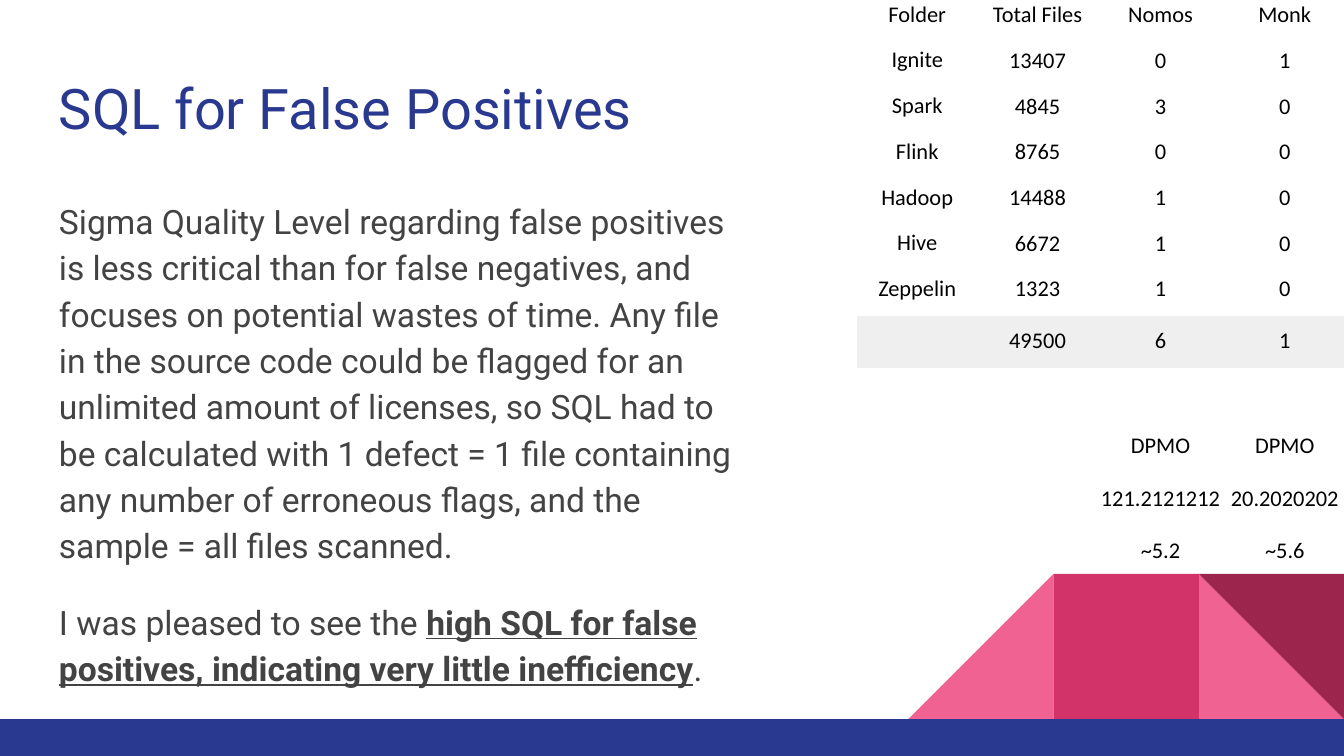
from dataclasses import dataclass

from lxml.etree import SubElement
from pptx import Presentation
from pptx.dml.color import RGBColor
from pptx.enum.shapes import MSO_SHAPE as Preset
from pptx.enum.text import MSO_ANCHOR as Anchor, PP_ALIGN as Align
from pptx.oxml.ns import qn
from pptx.slide import Slide
from pptx.table import _Cell as Cell
from pptx.text.text import Font, TextFrame
from pptx.util import Inches, Pt

BLUE = "2A3990"
PINK = "F06292"
GREY = "434343"
NO_STYLE = "{2D5ABB26-0587-4C30-8999-92F81FD0307C}"
TILE = 1.08
TILE_TOP = 4.27

BODY = (
    "Sigma Quality Level regarding false positives is less critical than for "
    "false negatives, and focuses on potential wastes of time. Any file in the "
    "source code could be flagged for an unlimited amount of licenses, so SQL "
    "had to be calculated with 1 defect = 1 file containing any number of "
    "erroneous flags, and the sample = all files scanned."
)
CONCLUSION = [
    ("I was pleased to see the ", False),
    ("high SQL for false positives, indicating very little inefficiency", True),
    (".", False),
]

COLUMN_WIDTHS = [0.89, 0.9, 0.93, 0.92]
ROW_HEIGHT = 0.23


@dataclass
class Block:
    preset: Preset
    left: float
    top: float
    width: float
    height: float
    color: str
    rotation: int = 0
    flipped: bool = False


@dataclass
class Row:
    texts: tuple[str, str, str, str]
    fill: str | None = None


BLOCKS = [
    Block(Preset.RIGHT_TRIANGLE, 10 - TILE, TILE_TOP, TILE, TILE, PINK),
    Block(Preset.RIGHT_TRIANGLE, 10 - 3 * TILE, TILE_TOP, TILE, TILE, PINK, flipped=True),
    Block(Preset.RECTANGLE, 10 - 2 * TILE, TILE_TOP, TILE, TILE, "D23369"),
    Block(Preset.RIGHT_TRIANGLE, 10 - TILE, TILE_TOP, TILE, TILE, "9C254D", rotation=180),
    Block(Preset.RECTANGLE, 0, TILE_TOP + TILE, 10, 0.28, BLUE),
]

ROWS = [
    Row(("Folder", "Total Files", "Nomos", "Monk")),
    Row(("Ignite", "13407", "0", "1")),
    Row(("Spark", "4845", "3", "0")),
    Row(("Flink", "8765", "0", "0")),
    Row(("Hadoop", "14488", "1", "0")),
    Row(("Hive", "6672", "1", "0")),
    Row(("Zeppelin", "1323", "1", "0")),
    Row(("", "49500", "6", "1"), "EFEFEF"),
    Row(("", "", "", "")),
    Row(("", "", "DPMO", "DPMO")),
    Row(("", "", "121.2121212", "20.2020202")),
    Row(("", "", "~5.2", "~5.6")),
]


def rgb(color: str) -> RGBColor:
    return RGBColor.from_string(color)


def set_font(font: Font, name: str, size: float, color: str) -> None:
    font.name = name
    font.size = Pt(size)
    font.color.rgb = rgb(color)


def draw_block(slide: Slide, block: Block) -> None:
    shape = slide.shapes.add_shape(
        block.preset, Inches(block.left), Inches(block.top),
        Inches(block.width), Inches(block.height),
    )
    shape.shadow.inherit = False
    shape.fill.solid()
    shape.fill.fore_color.rgb = rgb(block.color)
    shape.line.fill.background()
    shape.rotation = block.rotation
    if block.flipped:
        shape._element.spPr.xfrm.set("flipH", "1")


def add_text_frame(slide: Slide, top: float, width: float, height: float) -> TextFrame:
    box = slide.shapes.add_textbox(Inches(0.34), Inches(top), Inches(width), Inches(height))
    frame = box.text_frame
    frame.word_wrap = True
    frame.margin_left = frame.margin_right = Inches(0.1)
    frame.margin_top = frame.margin_bottom = Inches(0.1)
    return frame


def draw_title(slide: Slide) -> None:
    paragraph = add_text_frame(slide, 0.45, 9.32, 0.66).paragraphs[0]
    paragraph.text = "SQL for False Positives"
    set_font(paragraph.font, "Roboto", 30, BLUE)


def draw_body(slide: Slide) -> None:
    frame = add_text_frame(slide, 1.35, 5.22, 3.65)
    frame.text = BODY
    conclusion = frame.add_paragraph()
    conclusion.space_before = conclusion.space_after = Pt(16)
    for text, stressed in CONCLUSION:
        run = conclusion.add_run()
        run.text = text
        run.font.bold = run.font.underline = stressed
    for paragraph in frame.paragraphs:
        paragraph.line_spacing = 1.15
        set_font(paragraph.font, "Roboto", 18, GREY)


def fill_cell(cell: Cell, text: str, fill: str | None) -> None:
    cell.vertical_anchor = Anchor.BOTTOM
    cell.margin_left = cell.margin_right = Inches(0.01)
    cell.margin_top = Inches(0.01 if text else 0.04)
    cell.margin_bottom = Inches(0.1 if text else 0.05)
    if fill:
        cell.fill.solid()
        cell.fill.fore_color.rgb = rgb(fill)
    else:
        cell.fill.background()
    if text:
        paragraph = cell.text_frame.paragraphs[0]
        paragraph.text = text
        paragraph.alignment = Align.CENTER
        paragraph.line_spacing = 1.15 if text[0].isdigit() else 1.0
        set_font(paragraph.font, "Calibri", 12, "000000")


def draw_table(slide: Slide) -> None:
    table = slide.shapes.add_table(
        len(ROWS), len(COLUMN_WIDTHS), Inches(6.38), Inches(0),
        Inches(sum(COLUMN_WIDTHS)), Inches(ROW_HEIGHT * len(ROWS)),
    ).table
    table.first_row = table.horz_banding = False
    properties = table._tbl.tblPr
    for style in properties.findall(qn("a:tableStyleId")):
        properties.remove(style)
    SubElement(properties, qn("a:tableStyleId")).text = NO_STYLE
    for column, width in zip(table.columns, COLUMN_WIDTHS):
        column.width = Inches(width)
    for table_row, row in zip(table.rows, ROWS):
        table_row.height = Inches(ROW_HEIGHT)
        for cell, text in zip(table_row.cells, row.texts):
            fill_cell(cell, text, row.fill)


def main() -> None:
    presentation = Presentation()
    presentation.slide_width = Inches(10)
    presentation.slide_height = Inches(10) * 9 // 16
    slide = presentation.slides.add_slide(presentation.slide_layouts[6])
    for block in BLOCKS:
        draw_block(slide, block)
    draw_title(slide)
    draw_body(slide)
    draw_table(slide)
    presentation.save("out.pptx")


if __name__ == "__main__":
    main()
